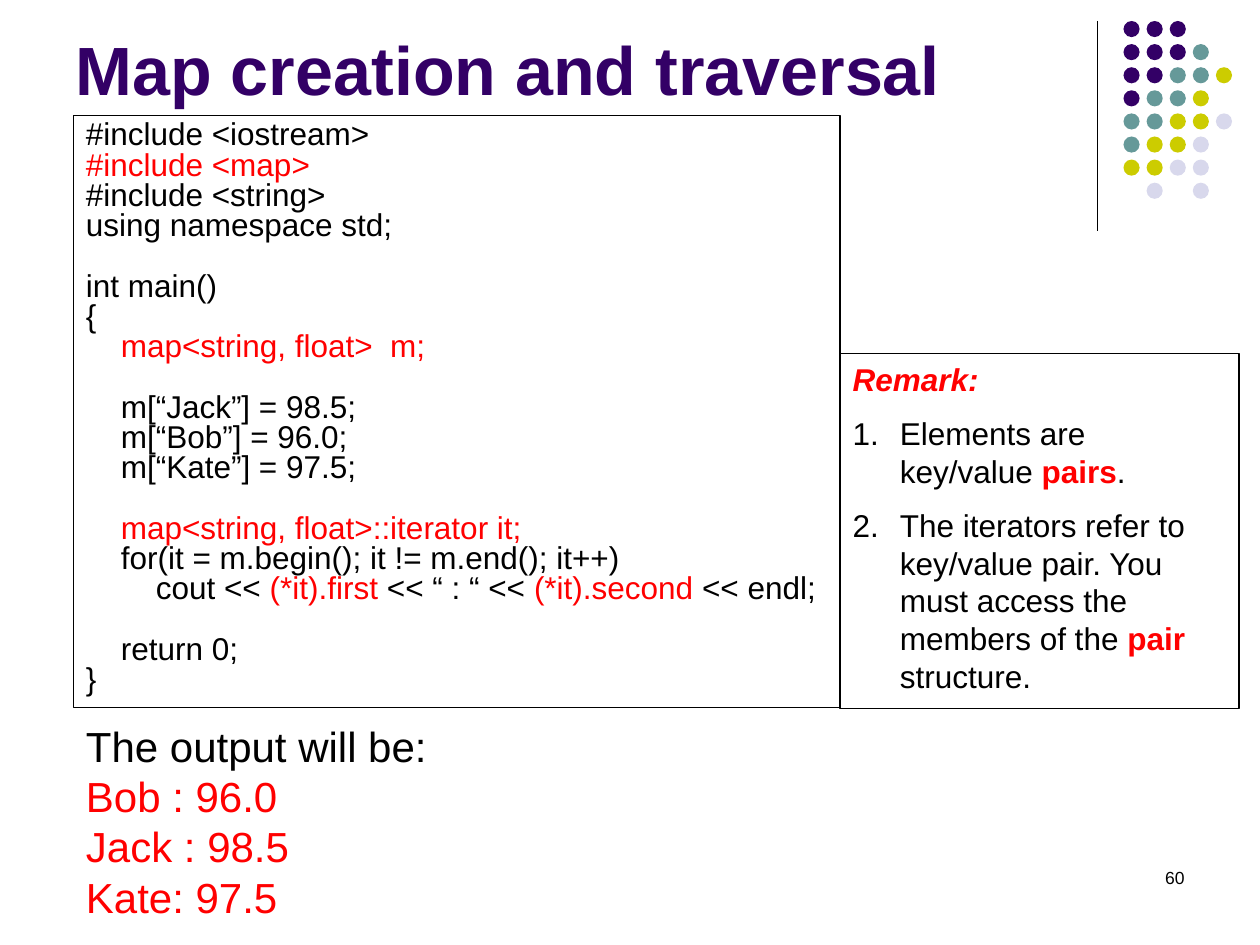
import pptx
import pptx.util
import pptx.dml.color
import pptx.enum.shapes
import pptx.enum.text
import pptx.oxml.ns
from lxml import etree

Pt = pptx.util.Pt
qn = pptx.oxml.ns.qn
ANCHOR = pptx.enum.text.MSO_ANCHOR
ALIGN = pptx.enum.text.PP_ALIGN
SHAPES = pptx.enum.shapes.MSO_SHAPE

colors = {
    "purple": "330066", "teal": "669999", "olive": "CCCC00", "lilac": "D8D8EC",
    "black": "000000", "red": "FF0000",
}
rgb = {name: pptx.dml.color.RGBColor.from_string(code) for name, code in colors.items()}


def add_span(para, text, color="black", **formats):
    span = para.add_run()
    span.text = text
    span.font.name = "Arial"
    span.font.color.rgb = rgb[color]
    for name, value in formats.items():
        setattr(span.font, name, value)


def prepare(box, left, top, width, height, **formats):
    box.left, box.top, box.width, box.height = map(Pt, (left, top, width, height))
    settings = {
        "word_wrap": True,
        "auto_size": pptx.enum.text.MSO_AUTO_SIZE.NONE,
        "vertical_anchor": ANCHOR.TOP,
    }
    for name, value in {**settings, **formats}.items():
        setattr(box.text_frame, name, value)
    return box.text_frame


deck = pptx.Presentation()
deck.slide_width, deck.slide_height = Pt(720), Pt(540)
page = deck.slides.add_slide(deck.slide_layouts[1])
for holder in list(page.placeholders)[2:]:
    holder.element.getparent().remove(holder.element)

divider = page.shapes.add_connector(
    pptx.enum.shapes.MSO_CONNECTOR.STRAIGHT, Pt(627), Pt(12), Pt(627), Pt(132))
divider.line.color.rgb = rgb["black"]
divider.line.width = Pt(0.75)
etree.SubElement(divider.element.spPr, qn("a:effectLst"))

dot_colors = {"P": "purple", "T": "teal", "O": "olive", "L": "lilac"}
dot_rows = ["PPP", "PPPT", "PPTTO", "PTTO", "TTOOL", "TOOL", "OOLL", " L L"]
for row, codes in enumerate(dot_rows):
    for column, code in enumerate(codes):
        if code in dot_colors:
            dot = page.shapes.add_shape(
                SHAPES.OVAL, Pt(642 + 13.2 * column), Pt(12 + 13.2 * row), Pt(9.2), Pt(9.2))
            dot.shadow.inherit = False
            dot.fill.solid()
            dot.fill.fore_color.rgb = rgb[dot_colors[code]]
            dot.line.fill.background()

title = prepare(page.shapes.title, 36, -36, 594, 102, vertical_anchor=ANCHOR.BOTTOM)
title.paragraphs[0].alignment = ALIGN.LEFT
add_span(title.paragraphs[0], "Map creation and traversal", "purple", size=Pt(39), bold=True)

number = prepare(page.shapes.add_textbox(0, 0, 0, 0), 516, 492, 168, 36)
number.paragraphs[0].alignment = ALIGN.RIGHT
add_span(number.paragraphs[0], "60", size=Pt(10))

code_lines = [
    (0, 0, [("#include <iostream>", "black")]),
    (0, 0, [("#include <map>", "red")]),
    (0, 0, [("#include <string>", "black")]),
    (0, 0, [("using namespace std;", "black")]),
    (0, 1, [("int main()", "black")]),
    (0, 0, [("{", "black")]),
    (1, 0, [("map<string, float>  m;", "red")]),
    (1, 1, [("m[“Jack”] = 98.5;", "black")]),
    (1, 0, [("m[“Bob”] = 96.0;", "black")]),
    (1, 0, [("m[“Kate”] = 97.5;", "black")]),
    (1, 1, [("map<string, float>::iterator it;", "red")]),
    (1, 0, [("for(it = m.begin(); it != m.end(); it++)", "black")]),
    (2, 0, [("cout << ", "black"), ("(*it).first ", "red"), ("<< “ : “ << ", "black"),
            ("(*it).second ", "red"), ("<< endl;", "black")]),
    (1, 1, [("return 0;", "black")]),
    (0, 0, [("}", "black")]),
]
code_box = page.shapes.add_shape(SHAPES.RECTANGLE, 0, 0, 0, 0)
code_box.shadow.inherit = False
code_box.fill.background()
code = prepare(code_box, 42, 66, 438, 338.5)
for index, (depth, gap, spans) in enumerate(code_lines):
    para = code.add_paragraph() if index else code.paragraphs[0]
    para.alignment = ALIGN.LEFT
    para.line_spacing = 0.8
    para.space_before = Pt(17.3 * gap)
    para._p.get_or_add_pPr().set("marL", str(Pt(20 * depth)))
    for text, color in spans:
        add_span(para, text, color, size=Pt(18))

output = prepare(page.shapes.add_textbox(0, 0, 0, 0), 42, 408, 234, 124)
output_lines = ["The output will be:", "Bob : 96.0", "Jack : 98.5", "Kate: 97.5"]
for index, text in enumerate(output_lines):
    para = output.add_paragraph() if index else output.paragraphs[0]
    add_span(para, text, "red" if index else "black", size=Pt(24))

plain = {"color": "black", "bold": False}
strong = {"color": "red", "bold": True}
remarks = [
    [("Remark:", {**strong, "italic": True})],
    [("Elements are key/value ", plain), ("pairs", strong), (".", plain)],
    [("The iterators refer to key/value pair. You must access the members of the ", plain),
     ("pair", strong), (" structure.", plain)],
]
remark_box = page.placeholders[1]
remark_box.line.color.rgb = rgb["black"]
remark = prepare(remark_box, 480, 202, 228, 203)
for index, spans in enumerate(remarks):
    para = remark.add_paragraph() if index else remark.paragraphs[0]
    para.space_before = Pt(9.3 if index else 1)
    properties = para._p.get_or_add_pPr()
    properties.set("marL", str(Pt(27)))
    properties.set("indent", str(Pt(-27)))
    if index:
        etree.SubElement(properties, qn("a:buFont"), typeface="+mj-lt")
        etree.SubElement(properties, qn("a:buAutoNum"), type="arabicPeriod")
    else:
        etree.SubElement(properties, qn("a:buNone"))
    for text, formats in spans:
        add_span(para, text, size=Pt(18), **formats)

for box in (code_box, remark_box):
    box.line.color.rgb = rgb["black"]
    box.line.width = Pt(0.75)

deck.save("out.pptx")
